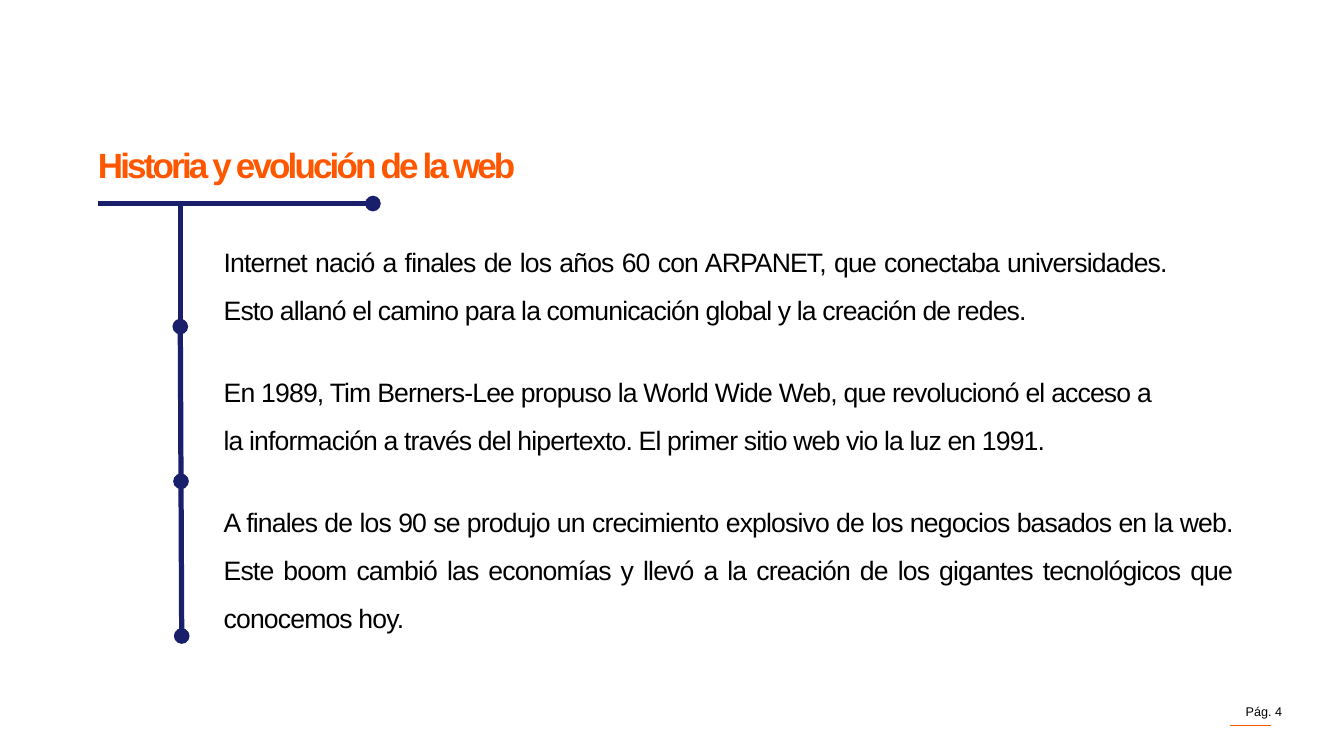
from lxml import etree
from pptx import Presentation
from pptx.dml.color import RGBColor
from pptx.enum.shapes import MSO_CONNECTOR
from pptx.enum.text import PP_ALIGN as Align
from pptx.oxml.ns import qn
from pptx.util import Pt

# Content
TITLE = "Historia y evolución de la web"
PAGE_LABEL = "Pág. 4"
MILESTONES = [  # text, box width, box height
    ("Internet nació a finales de los años 60 con ARPANET, que conectaba universidades. "
     "Esto allanó el camino para la comunicación global y la creación de redes.", 673.9, 65),
    ("En 1989, Tim Berners-Lee propuso la World Wide Web, que revolucionó el acceso a "
     "la información a través del hipertexto. El primer sitio web vio la luz en 1991.", 662.4, 65),
    ("A finales de los 90 se produjo un crecimiento explosivo de los negocios basados en la web. "
     "Este boom cambió las economías y llevó a la creación de los gigantes tecnológicos que "
     "conocemos hoy.", 720.7, 99.4),
]

# Style and layout
FONT = "Arial"
ORANGE, NAVY, BLACK = "FF5700", "1A1F6C", "000000"
LEFT, RULE_Y = 70, 145.4
TEXT_LEFT, TEXT_TOP, TEXT_STEP = 159.8, 164.2, 92.9
TIMELINE = [(128.8, 146.6), (128.8, 233.3), (129.3, 343.8), (129.8, 454.3)]

deck = Presentation()
deck.slide_width, deck.slide_height = Pt(960), Pt(540)
page = deck.slides.add_slide(deck.slide_layouts[6])


def color(value):
    return RGBColor.from_string(value)


def add_text(text, left, top, width, height, size, fill=BLACK, bold=False,
             align=Align.LEFT, spacing=None, tracking=0):
    box = page.shapes.add_textbox(Pt(left), Pt(top), Pt(width), Pt(height))
    frame = box.text_frame
    frame.word_wrap = True
    frame.margin_left = frame.margin_top = frame.margin_right = frame.margin_bottom = 0
    para = frame.paragraphs[0]
    para.alignment = align
    if spacing:
        para.line_spacing = spacing
    span = para.add_run()
    span.text = text
    span.font.name, span.font.size, span.font.bold = FONT, Pt(size), bold
    span.font.color.rgb = color(fill)
    if tracking:
        span._r.get_or_add_rPr().set("spc", str(round(tracking * 100)))


def add_line(start, end, fill, width, dot=False):
    line = page.shapes.add_connector(MSO_CONNECTOR.STRAIGHT, *map(Pt, start + end))
    line.line.color.rgb = color(fill)
    line.line.width = Pt(width)
    if dot:
        etree.SubElement(line.line._get_or_add_ln(), qn("a:tailEnd"), type="oval")
    etree.SubElement(line._element.spPr, qn("a:effectLst"))


# Page number
add_line((907.9, 518.4), (878.4, 518.4), ORANGE, 0.5)
add_text(PAGE_LABEL, 853.2, 502.6, 62.6, 10.8, size=9, align=Align.RIGHT)

# Title and its rule
add_text(TITLE, LEFT, 85.7, 524.2, 41, size=25, fill=ORANGE, bold=True,
         spacing=Pt(46.7), tracking=-2)
add_line((LEFT, RULE_Y), (266.4, RULE_Y), NAVY, 3.75, dot=True)

# Milestone texts
for index, (text, width, height) in enumerate(MILESTONES):
    add_text(text, TEXT_LEFT, TEXT_TOP + index * TEXT_STEP, width, height, size=19,
             align=Align.JUSTIFY, spacing=1.5, tracking=-0.6)

# Timeline, one dot at the end of each stretch
for start, end in zip(TIMELINE, TIMELINE[1:]):
    add_line(start, end, NAVY, 3.75, dot=True)

deck.save("out.pptx")
